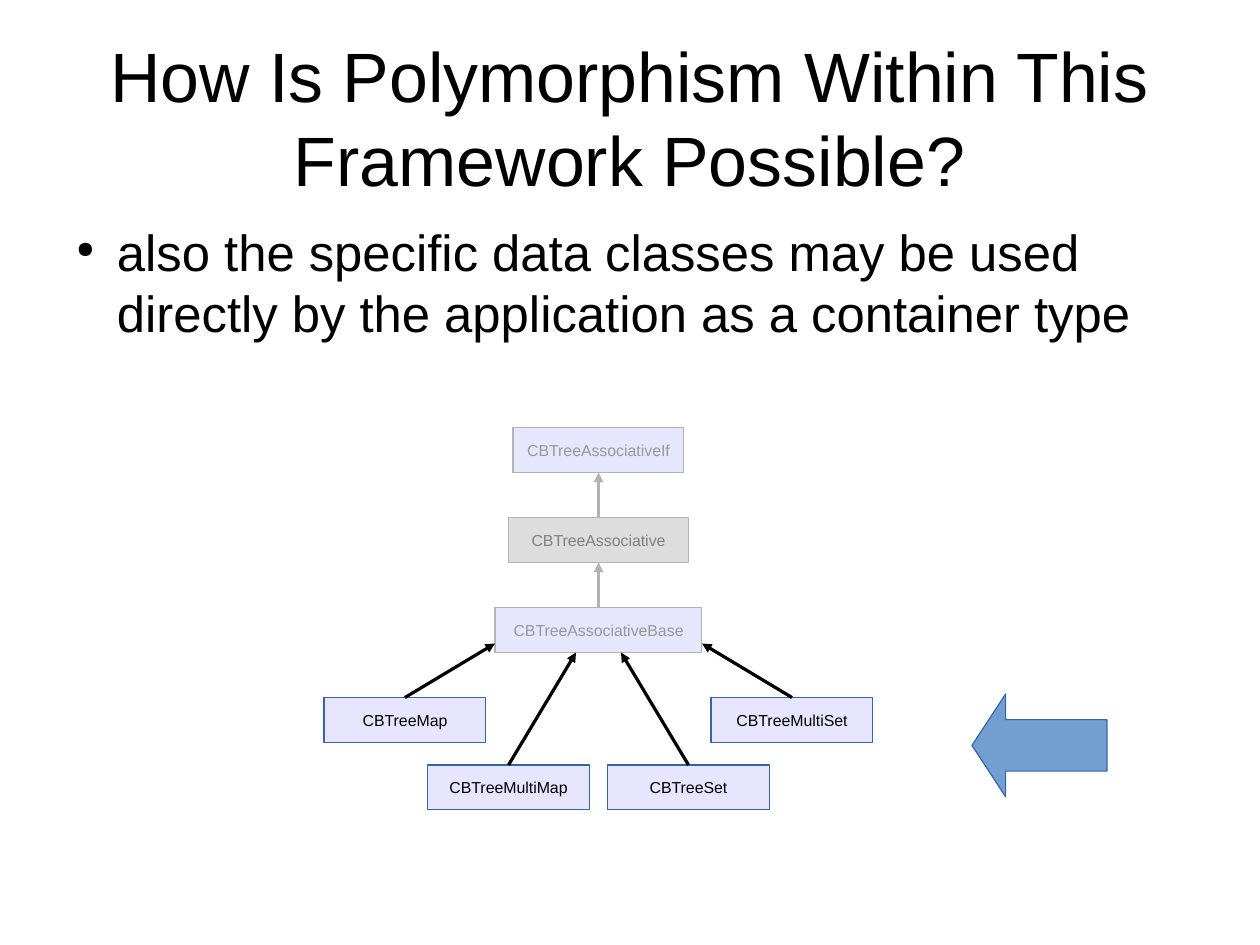
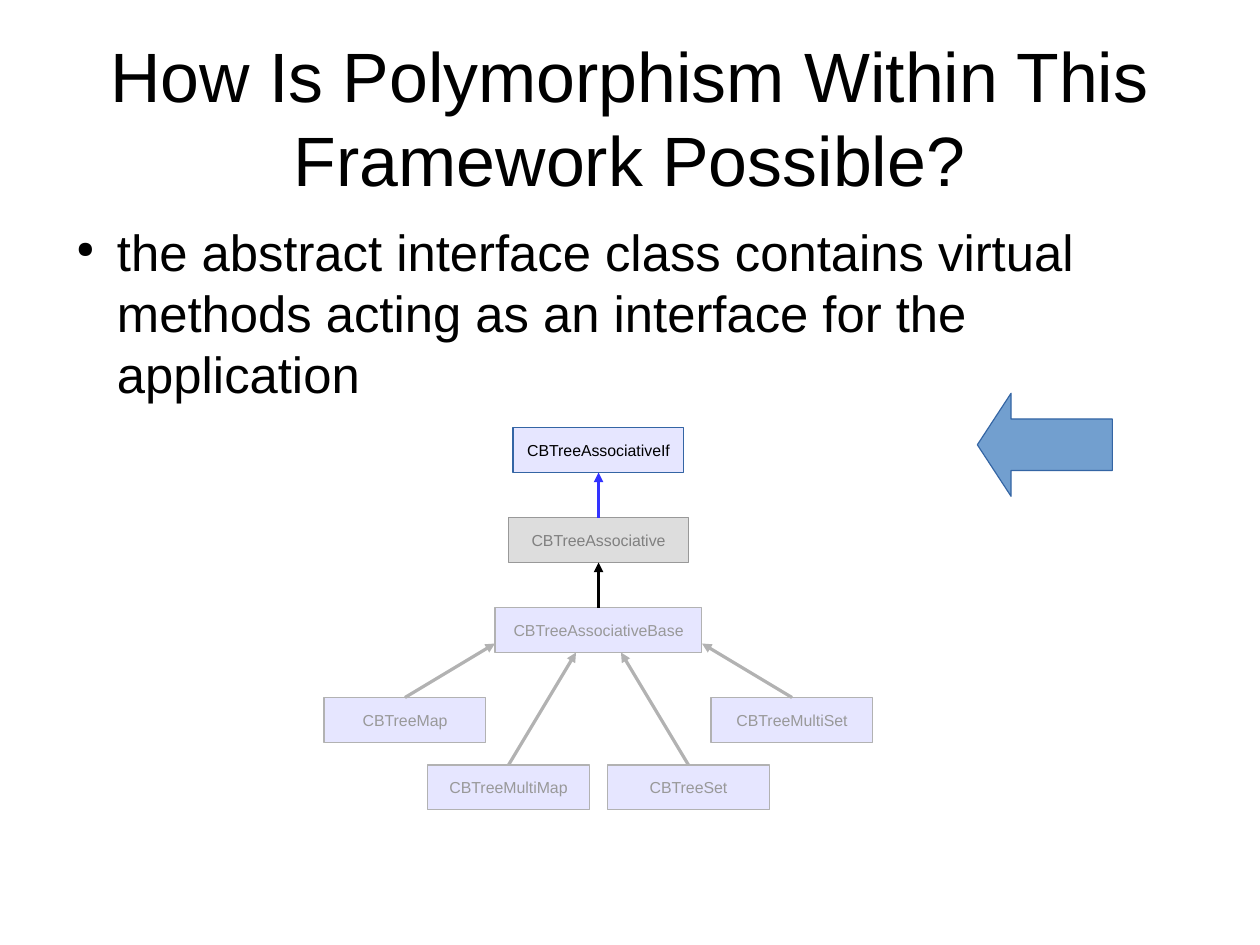
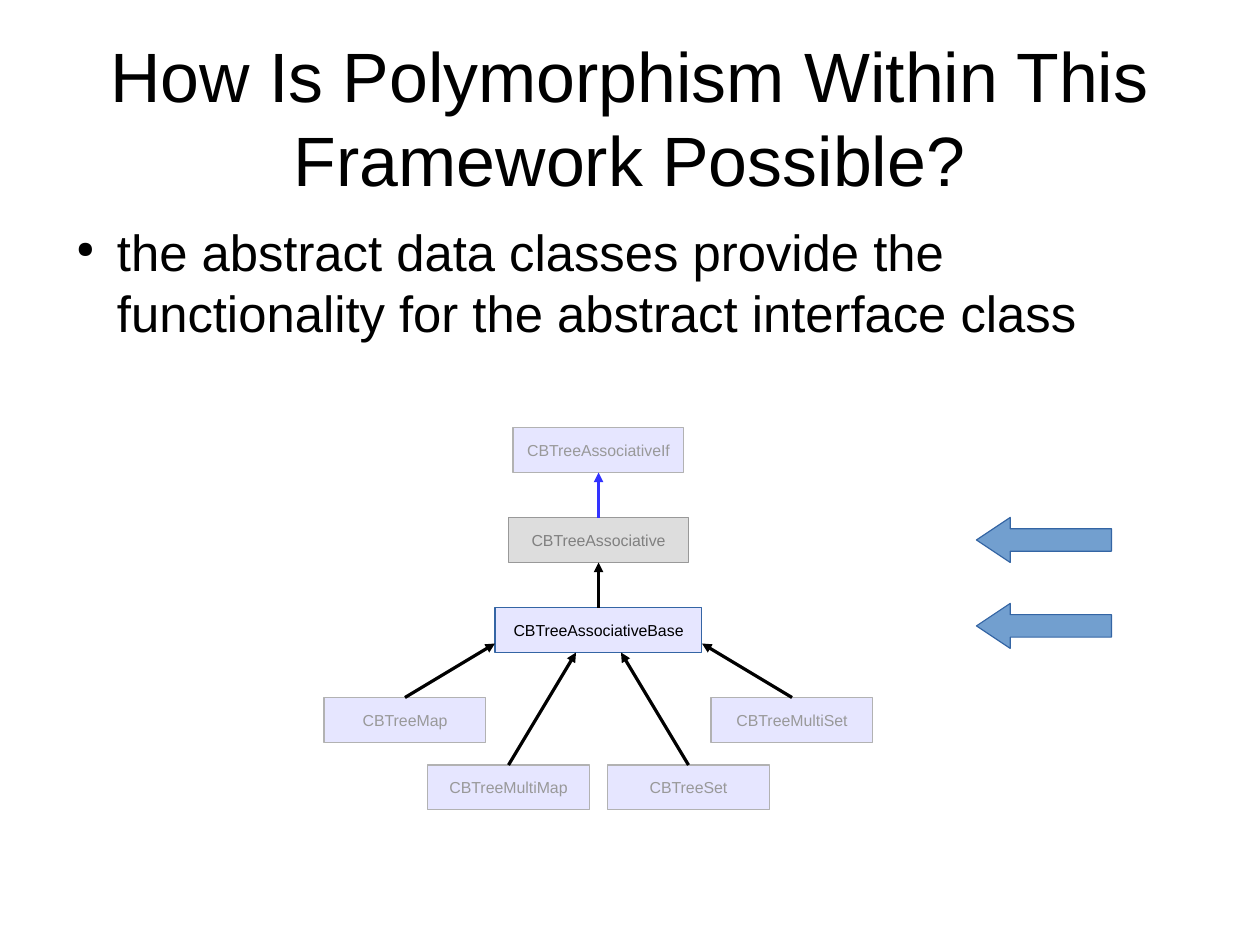
from dataclasses import dataclass

from lxml import etree
from pptx import Presentation
from pptx.dml.color import RGBColor
from pptx.enum.shapes import MSO_CONNECTOR, MSO_SHAPE
from pptx.enum.text import MSO_ANCHOR, MSO_AUTO_SIZE, PP_ALIGN
from pptx.oxml.ns import qn
from pptx.util import Cm, Pt

RECTANGLE = MSO_SHAPE.RECTANGLE
LEFT_ARROW = MSO_SHAPE.LEFT_ARROW
STRAIGHT = MSO_CONNECTOR.STRAIGHT
MIDDLE, TOP = MSO_ANCHOR.MIDDLE, MSO_ANCHOR.TOP
CENTER, LEFT = PP_ALIGN.CENTER, PP_ALIGN.LEFT
GROW, FIXED = MSO_AUTO_SIZE.SHAPE_TO_FIT_TEXT, MSO_AUTO_SIZE.NONE
TOP_SIDE, BOTTOM_SIDE = 0, 2


@dataclass(frozen=True)
class Theme:
    """Colours, font and type sizes of the deck."""
    font: str = "Arial"
    title_size: int = 44
    body_size: int = 32
    label_size: int = 10
    ink: str = "000000"
    faded_ink: str = "999999"
    core_ink: str = "808080"
    class_fill: str = "E6E6FF"
    core_fill: str = "DDDDDD"
    edge: str = "3465A4"
    faded_edge: str = "B2B2B2"
    core_edge: str = "999999"
    call_link: str = "3333FF"
    pointer_fill: str = "729FCF"


THEME = Theme()
COLUMNS, ROWS = 28, 21
UNIT = Cm(1)
TITLE = "How Is Polymorphism Within This Framework Possible?"
TITLE_BOX = (1.4, 0.84, 25.2, 3.5)
BODY_BOX = (1.4, 4.9, 25.2, 12.17)
DIAGRAM_BOX = (7.2, 9.5, 12.2, 8.5)
BOX_HEIGHT = 1
LEAF_WIDTH = 3.6
INTERFACE, CORE, BASE = "CBTreeAssociativeIf", "CBTreeAssociative", "CBTreeAssociativeBase"
TRUNK = {INTERFACE: (0, 3.8), CORE: (2, 4), BASE: (4, 4.6)}
LEAVES = {
    "CBTreeMap": (0, 6, 3.8, 4.8),
    "CBTreeMultiMap": (2.3, 7.5, 5.6, 5),
    "CBTreeSet": (6.3, 7.5, 6.6, 5),
    "CBTreeMultiSet": (8.6, 6, 8.4, 4.8),
}
PAGES = [
    dict(text="also the specific data classes may be used directly by the application as a container type",
         active=set(LEAVES), core_edge=THEME.faded_edge,
         links=(THEME.faded_edge, THEME.faded_edge, THEME.ink),
         pointers=[(21.6, 15.42, 3, 2.29)]),
    dict(text="the abstract interface class contains virtual methods acting as an interface for the application",
         active={INTERFACE}, core_edge=THEME.core_edge,
         links=(THEME.call_link, THEME.ink, THEME.faded_edge),
         pointers=[(21.72, 8.74, 3, 2.29)]),
    dict(text="the abstract data classes provide the functionality for the abstract interface class",
         active={BASE}, core_edge=THEME.core_edge,
         links=(THEME.call_link, THEME.ink, THEME.ink),
         pointers=[(21.7, 11.5, 3, 1), (21.7, 13.41, 3, 1)]),
]


def grid(*lengths):
    """Turn columns and rows into slide lengths."""
    return [round(length * UNIT) for length in lengths]


def write(shape, text, size, color=THEME.ink, align=CENTER, anchor=MIDDLE,
          wrap=True, margins=(0, 0), auto_size=FIXED):
    """Put one formatted paragraph in a shape and return it."""
    frame = shape.text_frame
    frame.word_wrap = wrap
    frame.auto_size = auto_size
    frame.vertical_anchor = anchor
    frame.margin_left = frame.margin_right = Cm(margins[0])
    frame.margin_top = frame.margin_bottom = Cm(margins[1])
    para = frame.paragraphs[0]
    para.alignment = align
    span = para.add_run()
    span.text = text
    span.font.name = THEME.font
    span.font.size = Pt(size)
    span.font.color.rgb = RGBColor.from_string(color)
    return para


def add_bullet(para):
    """Give a paragraph a small hanging round bullet."""
    para.space_before = Pt(14.2)
    props = para._p.get_or_add_pPr()
    props.set("marL", str(Cm(1.2)))
    props.set("indent", str(-Cm(0.9)))
    color = etree.SubElement(props, qn("a:buClr"))
    etree.SubElement(color, qn("a:srgbClr"), val=THEME.ink)
    etree.SubElement(props, qn("a:buSzPct"), val="45000")
    etree.SubElement(props, qn("a:buChar"), char="●")


def add_outlined(page, preset, box, fill, edge):
    """Add a flat preset shape with a hairline outline."""
    shape = page.shapes.add_shape(preset, *grid(*box))
    shape.shadow.inherit = False
    shape.fill.solid()
    shape.fill.fore_color.rgb = RGBColor.from_string(fill)
    shape.line.color.rgb = RGBColor.from_string(edge)
    shape.line.width = Pt(0)
    return shape


def add_class(page, name, box, active, core_edge):
    """Add one class box, strong when active and faded otherwise."""
    fill, edge, ink = THEME.class_fill, THEME.faded_edge, THEME.faded_ink
    if name == CORE:
        fill, edge, ink = THEME.core_fill, core_edge, THEME.core_ink
    elif name in active:
        edge, ink = THEME.edge, THEME.ink
    shape = add_outlined(page, RECTANGLE, box, fill, edge)
    write(shape, name, THEME.label_size, color=ink, wrap=False, margins=(0.25, 0.13))
    return shape


def add_link(page, child, color, parent=None, end=(0, 0)):
    """Draw an arrow from a child's top to its parent's base or a point."""
    link = page.shapes.add_connector(STRAIGHT, 0, 0, *grid(*end))
    link.begin_connect(child, TOP_SIDE)
    if parent is not None:
        link.end_connect(parent, BOTTOM_SIDE)
    link.line.color.rgb = RGBColor.from_string(color)
    link.line.width = Pt(0)
    etree.SubElement(link.line._get_or_add_ln(), qn("a:tailEnd"), type="triangle")
    etree.SubElement(link._element.spPr, qn("a:effectLst"))


def add_diagram(page, box, active, core_edge, links):
    """Draw the class tree inside the given box."""
    left, top, width, _ = box
    classes = {}
    for name, (row, span) in TRUNK.items():
        place = (left + (width - span) / 2, top + row, span, BOX_HEIGHT)
        classes[name] = add_class(page, name, place, active, core_edge)
    call_color, core_color, leaf_color = links
    add_link(page, classes[CORE], call_color, parent=classes[INTERFACE])
    add_link(page, classes[BASE], core_color, parent=classes[CORE])
    for name, (column, row, end_column, end_row) in LEAVES.items():
        place = (left + column, top + row, LEAF_WIDTH, BOX_HEIGHT)
        leaf = add_class(page, name, place, active, core_edge)
        add_link(page, leaf, leaf_color, end=(left + end_column, top + end_row))


def add_pointer(page, box):
    """Add a block arrow whose head is one column long."""
    pointer = add_outlined(page, LEFT_ARROW, box, THEME.pointer_fill, THEME.edge)
    pointer.adjustments[0] = 0.5
    pointer.adjustments[1] = 0.75 / min(box[3], 2.29)


def add_page(deck, text, active, core_edge, links, pointers):
    """Build one slide with its title, bullet, class tree and pointers."""
    page = deck.slides.add_slide(deck.slide_layouts[6])
    title = page.shapes.add_textbox(*grid(*TITLE_BOX))
    write(title, TITLE, THEME.title_size, auto_size=GROW)
    body = page.shapes.add_textbox(*grid(*BODY_BOX))
    add_bullet(write(body, text, THEME.body_size, align=LEFT, anchor=TOP))
    add_diagram(page, DIAGRAM_BOX, active, core_edge, links)
    for box in pointers:
        add_pointer(page, box)


def main():
    """Build and save the deck."""
    deck = Presentation()
    deck.slide_width, deck.slide_height = grid(COLUMNS, ROWS)
    for content in PAGES:
        add_page(deck, **content)
    deck.save("out.pptx")


if __name__ == "__main__":
    main()
